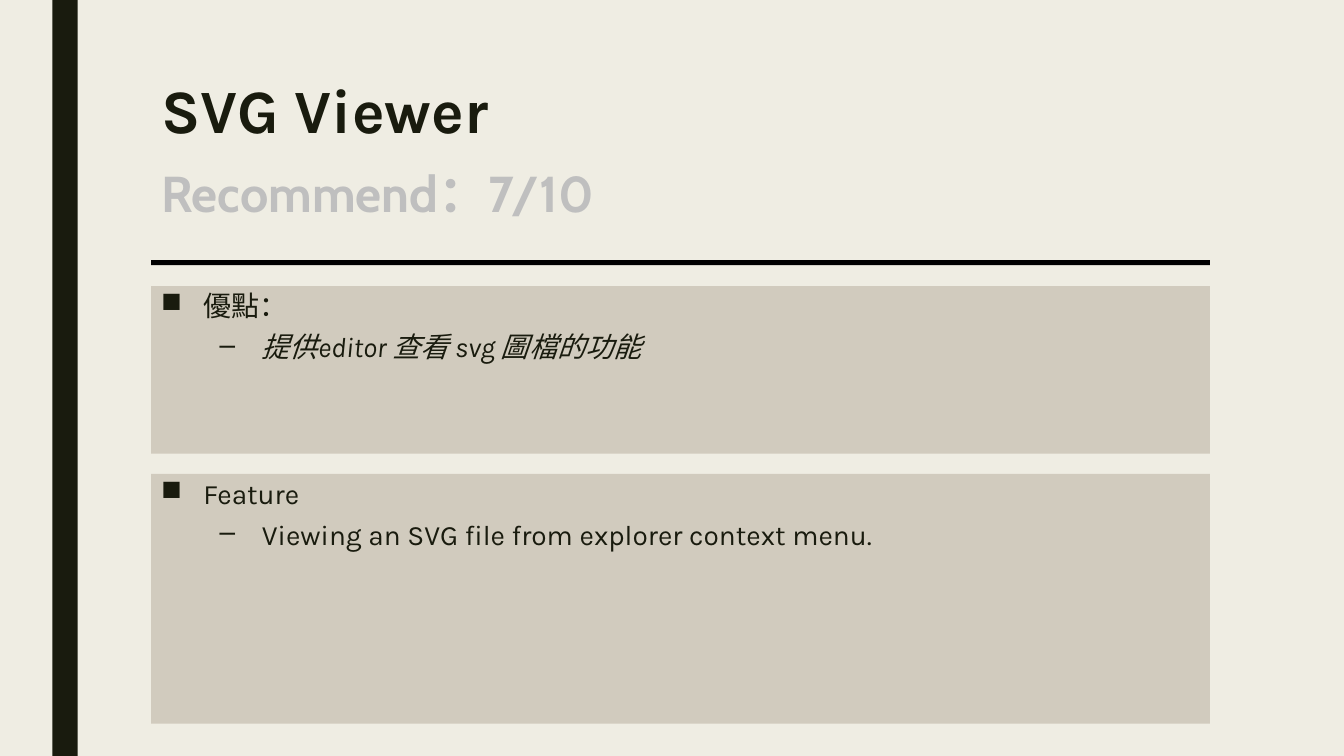
from dataclasses import dataclass

from lxml import etree
from pptx import Presentation
from pptx import util as u
from pptx.dml.color import RGBColor
from pptx.enum import shapes, text
from pptx.oxml.ns import qn

COLORS = {
    "paper": "EFEDE3",
    "ink": "191B0E",
    "panel": "D1CBBE",
    "rating": "BFBFBF",
    "rule": "000000",
}
LEFT, WIDTH = 1.5, 10.5


@dataclass
class Box:
    left: float
    top: float
    width: float
    height: float

    def emu(self) -> list[u.Length]:
        return [u.Inches(v) for v in (self.left, self.top, self.width, self.height)]


@dataclass
class Panel:
    box: Box
    heading: str
    detail: str
    italic: bool = False


def rgb(name: str) -> RGBColor:
    return RGBColor.from_string(COLORS[name])


def add_rect(slide, box: Box, color: str):
    sp = slide.shapes.add_shape(shapes.MSO_SHAPE.RECTANGLE, *box.emu())
    sp.shadow.inherit = False
    sp.fill.solid()
    sp.fill.fore_color.rgb = rgb(color)
    sp.line.fill.background()
    return sp


def set_bullet(p, char: str, indent: float) -> None:
    pPr = p._p.get_or_add_pPr()
    pPr.set("marL", str(u.Inches(indent)))
    pPr.set("indent", str(u.Inches(-0.42)))
    etree.SubElement(pPr, qn("a:buChar")).set("char", char)


def write(p, content: str, *, size: float, font: str = "Karla", color: str = "ink",
          bold: bool = False, italic: bool = False, spacing: float = 1.0) -> None:
    p.alignment = text.PP_ALIGN.LEFT
    p.line_spacing = spacing
    r = p.add_run()
    r.text = content
    r.font.size = u.Pt(size)
    r.font.name = font
    r.font.bold = bold
    r.font.italic = italic
    r.font.color.rgb = rgb(color)


def add_label(slide, box: Box, content: str, **style) -> None:
    tf = slide.shapes.add_textbox(*box.emu()).text_frame
    tf.word_wrap = True
    write(tf.paragraphs[0], content, **style)


def add_panel(slide, panel: Panel) -> None:
    tf = add_rect(slide, panel.box, "panel").text_frame
    tf.word_wrap = True
    tf.vertical_anchor = text.MSO_ANCHOR.TOP

    p = tf.paragraphs[0]
    set_bullet(p, "■", 0.42)
    p.space_after = u.Pt(2)
    write(p, panel.heading, size=20, spacing=0.94)

    p = tf.add_paragraph()
    p.level = 1
    set_bullet(p, "–", 1)
    p.space_before, p.space_after = u.Pt(5), u.Pt(2)
    write(p, panel.detail, size=20, italic=panel.italic, spacing=0.94)


PANELS = [
    Panel(Box(LEFT, 2.84, WIDTH, 1.66), "優點：", "提供editor 查看 svg 圖檔的功能", italic=True),
    Panel(Box(LEFT, 4.7, WIDTH, 2.48), "Feature",
          "Viewing an SVG file from explorer context menu."),
]


def main() -> None:
    prs = Presentation()
    prs.slide_width, prs.slide_height = u.Inches(13.33), u.Inches(7.5)
    slide = prs.slides.add_slide(prs.slide_layouts[6])

    # Background and side band
    slide.background.fill.solid()
    slide.background.fill.fore_color.rgb = rgb("paper")
    add_rect(slide, Box(0.52, 0, 0.25, 7.5), "ink")

    # Title, rating and rule
    add_label(slide, Box(LEFT, 0.75, WIDTH, 0.8), "SVG Viewer",
              size=44, bold=True, spacing=0.89)
    add_label(slide, Box(LEFT, 1.56, 7.23, 0.71), "Recommend：7/10",
              size=36, font="Cabin", color="rating", bold=True)
    add_rect(slide, Box(LEFT, 2.58, WIDTH, 0.05), "rule")

    # Text panels
    for panel in PANELS:
        add_panel(slide, panel)

    prs.save("out.pptx")


if __name__ == "__main__":
    main()
